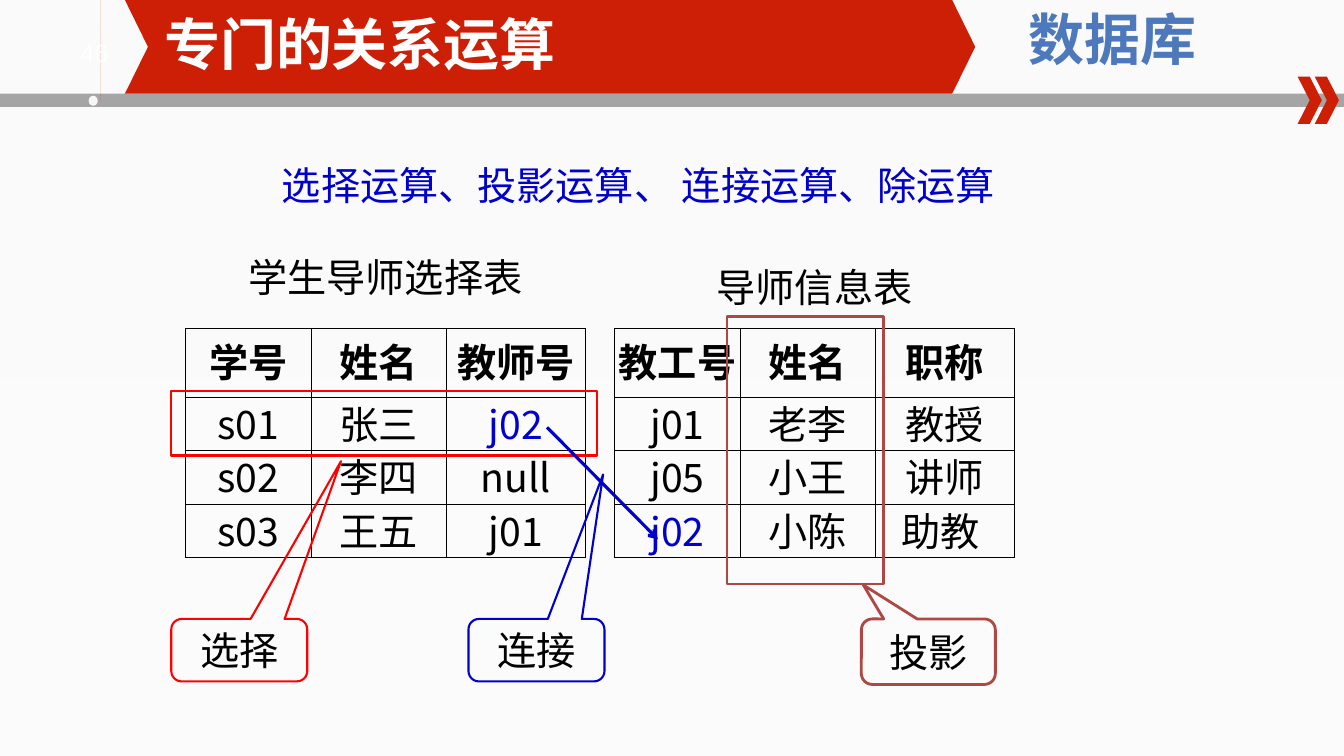
import math
from dataclasses import dataclass
from typing import Any, Optional

import pptx
import pptx.util
import pptx.dml.color
import pptx.enum.shapes
import pptx.enum.text
import pptx.oxml.ns
from lxml import etree

Inches, Pt = pptx.util.Inches, pptx.util.Pt
qn = pptx.oxml.ns.qn
Kind = pptx.enum.shapes.MSO_SHAPE
Anchor = pptx.enum.text.MSO_ANCHOR
Align = pptx.enum.text.PP_ALIGN

RED, BLACK, WHITE = "CD1F06", "000000", "FFFFFF"
SELECT, JOIN, PROJECT = "FF0000", "0000CC", "AE4845"
CJK = "Noto Sans CJK SC"
BAR_TOP, BANNER_LEFT, BANNER_WIDTH = 0.93, 1.24, 8.44


@dataclass
class Shape:
    kind: Any
    at: tuple[float, float, float, float]
    fill: Optional[str] = None
    line: Optional[str] = None
    weight: float = 1.5
    adjust: tuple[float, ...] = ()
    text: str = ""
    font: str = CJK


@dataclass
class Label:
    text: str
    at: tuple[float, float, float, float]
    size: float = 28
    font: str = CJK
    color: str = BLACK
    bold: bool = False
    align: Any = Align.CENTER
    spacing: Optional[float] = None
    indent: float = 0


@dataclass
class Relation:
    left: float
    rows: list[list[str]]
    linked: tuple[int, int]  # row and column of the joined value


def color(value: str) -> pptx.dml.color.RGBColor:
    return pptx.dml.color.RGBColor.from_string(value)


def apply(target: Any, values: dict[str, Any]) -> None:
    for name, value in values.items():
        setattr(target, name, value)


def gradient(fill: Any, holder: Any, stops: list[tuple[int, str]]) -> None:
    fill.gradient()
    fill.gradient_angle = 270
    stop_list = next(holder.iter(qn("a:gsLst")))
    for stop in list(stop_list):
        stop_list.remove(stop)
    for position, value in stops:
        stop = etree.SubElement(stop_list, qn("a:gs"), pos=str(position * 1000))
        etree.SubElement(stop, qn("a:srgbClr"), val=value)


def write(para: Any, text: str, size: float, font: str, ink: str,
          bold: bool = False, align: Any = Align.CENTER) -> Any:
    para.alignment = align
    span = para.add_run()
    span.text = text
    apply(span.font, {"size": Pt(size), "name": font, "bold": bold})
    span.font.color.rgb = color(ink)
    etree.SubElement(span.font._element, qn("a:ea"), typeface=CJK)
    return span


def paint(shape: Any, fill: Optional[str], line: Optional[str] = None,
          weight: float = 1.5) -> None:
    shape.shadow.inherit = False
    if fill:
        shape.fill.solid()
        shape.fill.fore_color.rgb = color(fill)
    else:
        shape.fill.background()
    if line:
        shape.line.color.rgb = color(line)
        shape.line.width = Pt(weight)
    else:
        shape.line.fill.background()


def draw_shape(page: Any, item: Shape) -> None:
    shape = page.shapes.add_shape(item.kind, *map(Inches, item.at))
    for index, value in enumerate(item.adjust):
        shape.adjustments[index] = value
    paint(shape, item.fill, item.line, item.weight)
    if item.text:
        shape.text_frame.vertical_anchor = Anchor.MIDDLE
        write(shape.text_frame.paragraphs[0], item.text, 28, item.font, BLACK)


def draw_label(page: Any, item: Label) -> Any:
    box = page.shapes.add_textbox(*map(Inches, item.at))
    box.text_frame.word_wrap = True
    para = box.text_frame.paragraphs[0]
    span = write(para, item.text, item.size, item.font, item.color, item.bold, item.align)
    if item.spacing:
        para.line_spacing = Pt(item.spacing)
    if item.indent:
        para._p.get_or_add_pPr().set("marL", str(Inches(item.indent)))
    return span


def draw_pin(page: Any) -> None:
    center_x, center_y, radius = 0.93, 0.52, 0.31
    arc = [(center_x + radius * math.cos(math.radians(angle)),
            center_y + radius * math.sin(math.radians(angle)))
           for angle in range(135, 406, 5)]
    builder = page.shapes.build_freeform(center_x, 0.99, scale=Inches(1))
    builder.add_line_segments(arc, close=True)
    paint(builder.convert_to_shape(), RED)


def draw_relation(page: Any, item: Relation) -> None:
    widths, heights = (1.25, 1.34, 1.38), (0.68, 0.53, 0.53, 0.53)
    table = page.shapes.add_table(len(heights), len(widths), Inches(item.left), Inches(3.26),
                                  Inches(sum(widths)), Inches(sum(heights))).table
    apply(table, {"first_row": False, "horz_banding": False})
    for column, width in zip(table.columns, widths):
        column.width = Inches(width)
    for row, height in zip(table.rows, heights):
        row.height = Inches(height)
    for r, values in enumerate(item.rows):
        for c, text in enumerate(values):
            cell = table.cell(r, c)
            header = r == 0
            apply(cell, {"margin_left": Inches(0.01), "margin_right": Inches(0.01),
                         "margin_top": Inches(0.01),
                         "margin_bottom": Inches(0.05 if header else 0),
                         "vertical_anchor": Anchor.MIDDLE if header else Anchor.BOTTOM})
            para = cell.text_frame.paragraphs[0]
            write(para, text, 28, "Arial" if header or c == 1 else CJK,
                  JOIN if (r, c) == item.linked else BLACK, header)
            if not header:
                para.line_spacing = Pt(33)
            cell.fill.background()
            for index, side in enumerate(("lnL", "lnR", "lnT", "lnB")):
                border = etree.Element(qn("a:" + side), w=str(Pt(0.5)))
                solid = etree.SubElement(border, qn("a:solidFill"))
                etree.SubElement(solid, qn("a:srgbClr"), val=BLACK)
                cell._tc.tcPr.insert(index, border)


def draw_arrow(page: Any, start: tuple[float, float], end: tuple[float, float]) -> None:
    arrow = page.shapes.add_connector(pptx.enum.shapes.MSO_CONNECTOR.STRAIGHT,
                                      *map(Inches, start + end))
    arrow.line.color.rgb = color(JOIN)
    arrow.line.width = Pt(2.25)
    etree.SubElement(arrow.line._get_or_add_ln(), qn("a:tailEnd"), type="arrow")
    etree.SubElement(arrow._element.spPr, qn("a:effectLst"))


def draw_title(page: Any, text: str) -> None:
    title = page.shapes.title
    apply(title, {"left": Inches(1.63), "top": Inches(0.09),
                  "width": Inches(6.61), "height": Inches(0.67)})
    apply(title.text_frame, {"margin_left": 0, "margin_right": 0, "margin_top": 0,
                             "margin_bottom": 0, "vertical_anchor": Anchor.MIDDLE,
                             "auto_size": pptx.enum.text.MSO_AUTO_SIZE.NONE})
    write(title.text_frame.paragraphs[0], text, 40, "Arial", WHITE, True, Align.LEFT)
    page.shapes._spTree.append(title._element)  # in front of the banner


def main() -> None:
    deck = pptx.Presentation()
    apply(deck, {"slide_width": Inches(13.34), "slide_height": Inches(7.5)})
    page = deck.slides.add_slide(deck.slide_layouts[5])
    gradient(page.background.fill, page._element, [(0, "FAFAFA"), (50, "FBFBFB"), (100, "FCFCFC")])

    # Header
    draw_shape(page, Shape(Kind.RECTANGLE, (0, BAR_TOP, 13.34, 0.13), "A5A5A5"))
    draw_shape(page, Shape(Kind.OVAL, (0.88, 0.95, 0.09, 0.1), "F6F6F6"))
    draw_pin(page)
    draw_label(page, Label("46", (0.7, 0.32, 0.76, 0.4), 18, "Arial", WHITE, align=Align.LEFT))
    for step in range(2):
        draw_shape(page, Shape(Kind.CHEVRON, (12.88 + step * 0.17, 0.76, 0.24, 0.47), RED))
    draw_shape(page, Shape(Kind.CHEVRON, (BANNER_LEFT, 0, BANNER_WIDTH, BAR_TOP), RED,
                           adjust=(0.246,)))
    course = draw_label(page, Label("数据库", (BANNER_LEFT + BANNER_WIDTH, 0, 2.72, 0.77), 40, bold=True))
    gradient(course.font.fill, course._r, [(0, "7494C9"), (49, "4D79BC"), (50, "346AAA"),
                                         (92, "325F94"), (100, "315D91")])
    draw_title(page, "专门的关系运算")

    # Operations and relations
    draw_label(page, Label("选择运算、投影运算、 连接运算、除运算", (1.7, 1.55, 8.43, 0.57),
                           font="Karla", color=JOIN, align=Align.LEFT, indent=1))
    students = [["学号", "姓名", "教师号"], ["s01", "张三", "j02"],
                ["s02", "李四", "null"], ["s03", "王五", "j01"]]
    tutors = [["教工号", "姓名", "职称"], ["j01", "老李", "教授"],
              ["j05", "小王", "讲师"], ["j02", "小陈", "助教 "]]
    draw_relation(page, Relation(1.84, students, (1, 2)))
    draw_relation(page, Relation(6.1, tutors, (3, 0)))

    # Frames, callouts and the join arrow
    callout = Kind.ROUNDED_RECTANGULAR_CALLOUT
    draw_shape(page, Shape(Kind.RECTANGLE, (1.7, 3.88, 4.23, 0.64), line=SELECT))
    draw_shape(page, Shape(callout, (1.7, 6.14, 1.35, 0.62), None, SELECT, 1.5,
                           (0.748, -3.024, 0.167), "选择"))
    draw_shape(page, Shape(callout, (8.55, 6.14, 1.33, 0.65), None, PROJECT, 2,
                           (-0.485, -1.018, 0.167), "投影", "Karla"))
    draw_shape(page, Shape(Kind.RECTANGLE, (7.22, 3.14, 1.55, 2.65), line=PROJECT))
    draw_arrow(page, (5.43, 4.24), (6.53, 5.35))
    draw_shape(page, Shape(callout, (4.65, 6.14, 1.35, 0.62), None, JOIN, 1.5,
                           (0.49, -2.81, 0.167), "连接"))

    # Relation names
    draw_label(page, Label("学生导师选择表", (1.87, 2.42, 3.91, 0.62), spacing=37))
    draw_label(page, Label("导师信息表", (6.13, 2.52, 3.91, 0.62), spacing=37))
    deck.save("out.pptx")


if __name__ == "__main__":
    main()
